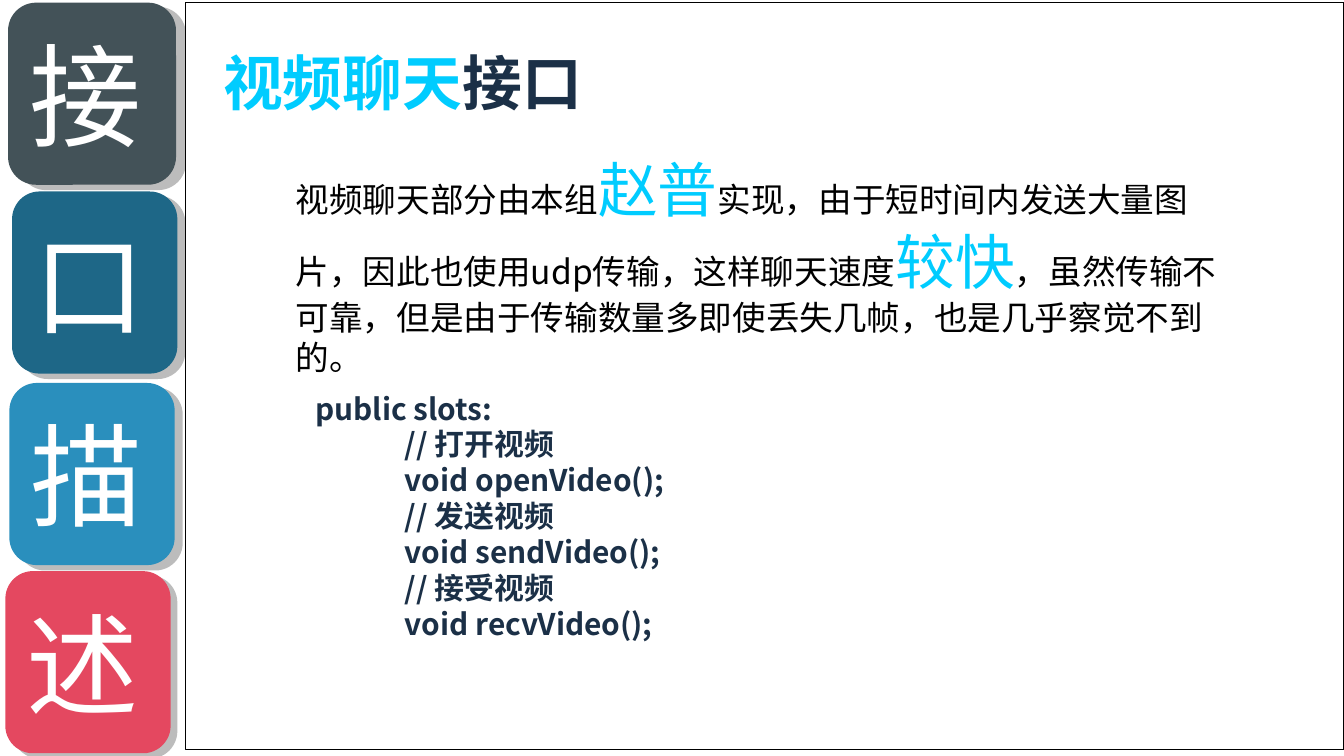
import pptx
import pptx.util
import pptx.dml.color
import pptx.enum.shapes
import pptx.enum.text
import pptx.oxml
import pptx.oxml.ns

PX = 4572  # 200 px to the inch
SANS, SLAB = "Noto Sans CJK SC", "Roboto Slab"
CYAN, NAVY, BLACK, WHITE, GREY = "00CCFF", "1B3047", "000000", "FFFFFF", "BCBCBC"
LEFT = pptx.enum.text.PP_ALIGN.LEFT
JUSTIFY = pptx.enum.text.PP_ALIGN.JUSTIFY
KIND = pptx.enum.shapes.MSO_SHAPE


def color(code):
    return pptx.dml.color.RGBColor.from_string(code)


def place(shape, box):
    shape.left, shape.top, shape.width, shape.height = [n * PX for n in box]


def style(run, size, tint, face=SANS, bold=False):
    font = run.font
    font.size = pptx.util.Pt(size)
    font.name = face
    font.bold = bold
    font.color.rgb = color(tint)
    # East Asian letters take the same face
    asian = pptx.oxml.parse_xml(
        f'<a:ea {pptx.oxml.ns.nsdecls("a")} typeface="{face}"/>')
    font._element.find(pptx.oxml.ns.qn("a:latin")).addnext(asian)


def write(para, parts, face=SANS, bold=False):
    for text, size, tint in parts:
        run = para.add_run()
        run.text = text
        style(run, size, tint, face, bold)


def block(slide, kind, box, fill, line=None):
    shape = slide.shapes.add_shape(kind, *[n * PX for n in box])
    shape.shadow.inherit = False
    shape.fill.solid()
    shape.fill.fore_color.rgb = color(fill)
    if line:
        shape.line.color.rgb = color(line)
        shape.line.width = pptx.util.Pt(0.75)
    else:
        shape.line.fill.background()
    return shape


def tile(slide, box, drop, sign, fill):
    x, y, w, h = box
    block(slide, KIND.ROUNDED_RECTANGLE, (x + drop, y + 6, w, h + 2), GREY)
    front = block(slide, KIND.ROUNDED_RECTANGLE, box, fill)
    frame = front.text_frame
    frame.margin_left = frame.margin_right = 20 * PX
    frame.margin_top = frame.margin_bottom = 10 * PX
    frame.vertical_anchor = pptx.enum.text.MSO_ANCHOR.MIDDLE
    frame.text = sign
    para = frame.paragraphs[0]
    para.alignment = LEFT
    style(para.runs[0], 60, WHITE)


def holder(shape, box):
    """Place a template holder in front, with plain text at top left."""
    place(shape, box)
    shape.element.getparent().append(shape.element)
    frame = shape.text_frame
    frame.word_wrap = True
    frame.auto_size = pptx.enum.text.MSO_AUTO_SIZE.NONE
    frame.vertical_anchor = pptx.enum.text.MSO_ANCHOR.TOP
    para = frame.paragraphs[0]
    para.alignment = LEFT
    para.space_before = pptx.util.Pt(0)
    return para


def heading(slide, box):
    para = holder(slide.shapes.title, box)
    write(para, [("视频聊天", 32, CYAN), ("接口", 32, NAVY)], SLAB, True)


def story(slide, box):
    para = holder(slide.placeholders[1], box)
    # No bullet, no indent, and no punctuation past the right edge
    props = para._p.get_or_add_pPr()
    for name in ("marL", "indent", "hangingPunct"):
        props.set(name, "0")
    props.append(pptx.oxml.parse_xml(f'<a:buNone {pptx.oxml.ns.nsdecls("a")}/>'))
    write(para, [
        ("视频聊天部分由本组", 18, BLACK),
        ("赵普", 32, CYAN),
        ("实现，由于短时间内发送大量图片，因此也使用udp传输，这样聊天速度", 18, BLACK),
        ("较快", 32, CYAN),
        ("，虽然传输不可靠，但是由于传输数量多即使丢失几帧，也是几乎察觉不到的。", 18, BLACK),
    ])


def code(slide, box):
    frame = slide.shapes.add_textbox(*[n * PX for n in box]).text_frame
    frame.word_wrap = True
    frame.text = "\n".join([
        "public slots:",
        "　　　// 打开视频",
        "　　　void openVideo();",
        "　　　// 发送视频",
        "　　　void sendVideo();",
        "　　　// 接受视频",
        "　　　void recvVideo();",
    ])
    for para in frame.paragraphs:
        para.alignment = JUSTIFY
        style(para.runs[0], 16, NAVY, bold=True)


def main():
    deck = pptx.Presentation()
    deck.slide_width, deck.slide_height = 2000 * PX, 1125 * PX
    slide = deck.slides.add_slide(deck.slide_layouts[1])

    # Side tiles: left, top, width, shadow shift, sign, fill
    tiles = [
        (12, 4, 250, 15, "接", "435258"),
        (18, 285, 246, 12, "口", "1E6787"),
        (14, 570, 246, 12, "描", "2A8FBD"),
        (8, 850, 246, 10, "述", "E44860"),
    ]
    for x, y, w, drop, sign, fill in tiles:
        tile(slide, (x, y, w, 271), drop, sign, fill)

    # Main panel and its text
    block(slide, KIND.RECTANGLE, (276, 4, 1724, 1112), WHITE, BLACK)
    heading(slide, (312, 58, 694, 128))
    story(slide, (420, 218, 1442, 294))
    code(slide, (450, 571, 1112, 394))

    deck.save("out.pptx")


if __name__ == "__main__":
    main()
